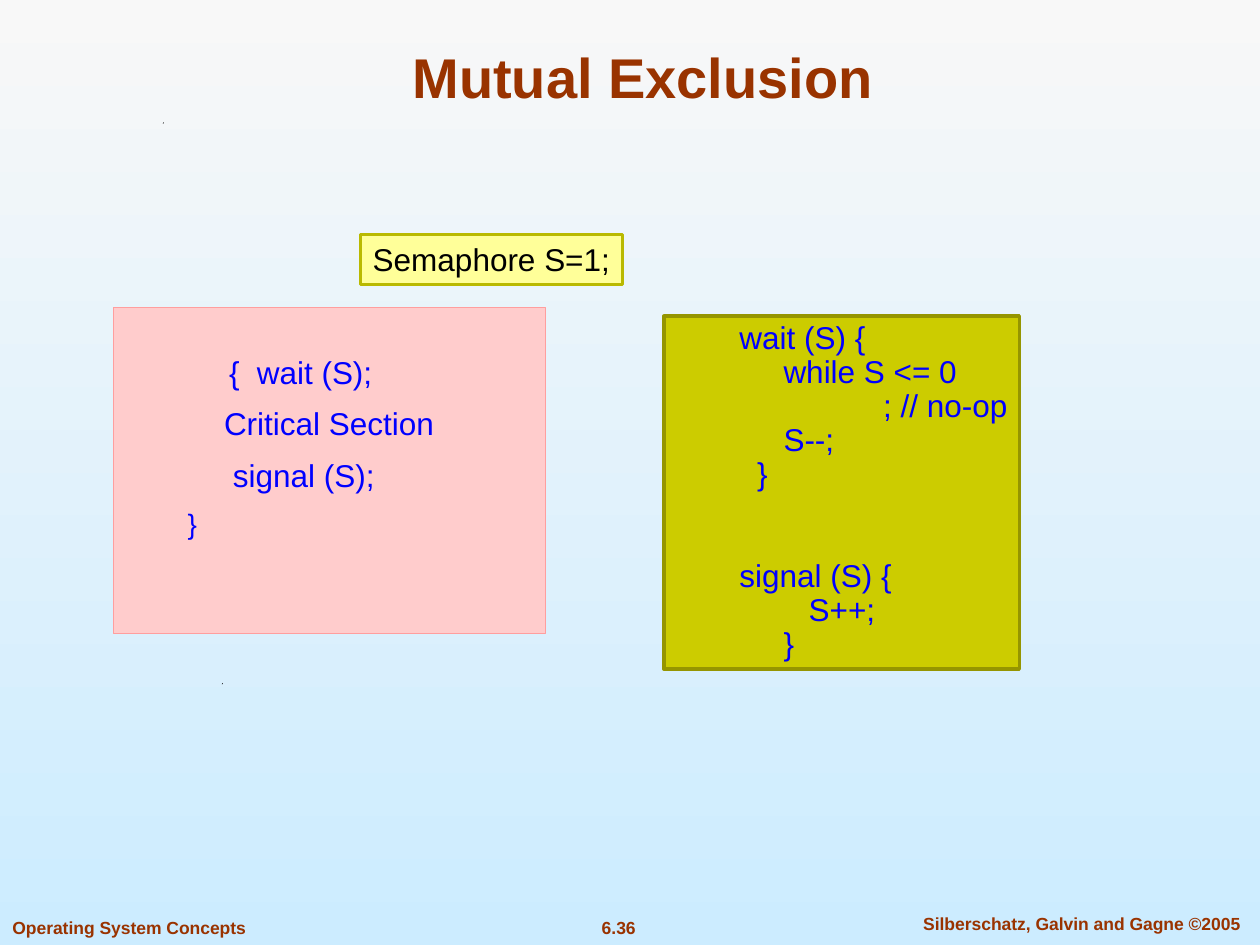
from dataclasses import dataclass

from pptx import Presentation
from pptx import util as u
from pptx.dml.color import RGBColor
from pptx.enum import shapes, text

FONT = "Arial"
BROWN = "993300"
BLUE = "0000FF"
BLACK = "000000"


@dataclass
class Line:
    wording: str
    margin: float = 0
    hanging: float = 0
    before: float = 0
    size: float = 18


@dataclass
class Panel:
    left: float
    top: float
    width: float
    height: float
    fill: str
    border: str
    weight: float
    ink: str
    lines: list[Line]
    top_inset: float = 0.05
    right_inset: float = 0.1
    spacing: float = 1.0
    wrap: bool = True


@dataclass
class Footer:
    wording: str
    left: float
    top: float
    width: float
    align: text.PP_ALIGN


def colour(value: str) -> RGBColor:
    return RGBColor.from_string(value)


def style_runs(paragraph, size: float, ink: str, bold: bool = False) -> None:
    for run in paragraph.runs:
        run.font.name = FONT
        run.font.size = u.Pt(size)
        run.font.bold = bold
        run.font.color.rgb = colour(ink)


def draw_panel(slide, panel: Panel) -> None:
    box = slide.shapes.add_shape(
        shapes.MSO_SHAPE.RECTANGLE,
        u.Inches(panel.left), u.Inches(panel.top),
        u.Inches(panel.width), u.Inches(panel.height))
    box.shadow.inherit = False
    box.fill.solid()
    box.fill.fore_color.rgb = colour(panel.fill)
    box.line.color.rgb = colour(panel.border)
    box.line.width = u.Pt(panel.weight)
    frame = box.text_frame
    frame.word_wrap = panel.wrap
    frame.vertical_anchor = text.MSO_ANCHOR.TOP
    frame.margin_top = u.Inches(panel.top_inset)
    frame.margin_right = u.Inches(panel.right_inset)
    frame.text = "\n".join(line.wording for line in panel.lines)
    for paragraph, line in zip(frame.paragraphs, panel.lines):
        paragraph.alignment = text.PP_ALIGN.LEFT
        paragraph.line_spacing = panel.spacing
        paragraph.space_before = u.Pt(line.before)
        properties = paragraph._p.get_or_add_pPr()
        properties.set("marL", str(u.Inches(line.margin)))
        properties.set("indent", str(u.Inches(-line.hanging)))
        style_runs(paragraph, line.size, panel.ink)


def draw_footer(slide, footer: Footer) -> None:
    box = slide.shapes.add_textbox(
        u.Inches(footer.left), u.Inches(footer.top),
        u.Inches(footer.width), u.Inches(0.27))
    frame = box.text_frame
    frame.word_wrap = True
    frame.text = footer.wording
    frame.paragraphs[0].alignment = footer.align
    style_runs(frame.paragraphs[0], 10, BROWN, bold=True)


def draw_speck(slide, left: float, top: float) -> None:
    size = u.Inches(0.01)
    x, y = u.Inches(left), u.Inches(top)
    builder = slide.shapes.build_freeform(x, y + size)
    builder.add_line_segments([(x + size, y), (x + size, y + size)], close=True)
    speck = builder.convert_to_shape()
    speck.shadow.inherit = False
    speck.fill.solid()
    speck.fill.fore_color.rgb = colour(BLACK)
    speck.line.fill.background()


def paint_background(slide) -> None:
    fill = slide.background.fill
    fill.gradient()
    fill.gradient_angle = 270
    for stop, shade, position in zip(fill.gradient_stops, ("F8F8F8", "CCECFF"), (0, 1)):
        stop.color.rgb = colour(shade)
        stop.position = position


def place_title(slide, wording: str) -> None:
    title = slide.shapes.title
    title.left, title.top = u.Inches(0.75), u.Inches(0.25)
    title.width, title.height = u.Inches(8.83), u.Inches(0.67)
    frame = title.text_frame
    frame.text = wording
    frame.vertical_anchor = text.MSO_ANCHOR.BOTTOM
    frame.paragraphs[0].alignment = text.PP_ALIGN.CENTER
    style_runs(frame.paragraphs[0], 32, BROWN, bold=True)


CRITICAL_SECTION = Panel(
    0.9, 2.44, 3.43, 2.59, "FFCCCC", "FF9E9E", 0.75, BLUE,
    [Line("{\twait (S);", 1.04, hanging=0.22),
     Line("Critical Section", 0.78, before=7.9),
     Line("signal (S);", 0.85, before=7.9),
     Line("}", 0.49, before=7, size=16)],
    top_inset=0.36)

SEMAPHORE = Panel(
    2.86, 1.86, 2.08, 0.4, "FFFF99", "B9B900", 2, BLACK,
    [Line("Semaphore S=1;")], wrap=False)

OPERATIONS = Panel(
    5.27, 2.51, 2.82, 2.8, "CCCC00", "959500", 2, BLUE,
    [Line("wait (S) {", 0.5),
     Line("while S <= 0", 0.85),
     Line("; // no-op", 1.64),
     Line("S--;", 0.85),
     Line("}", 0.64),
     Line("signal (S) {", 0.5, before=38.9),
     Line("S++;", 1.05),
     Line("}", 0.85)],
    right_inset=0.02, spacing=0.9)

FOOTERS = [
    Footer("6.36", 4.42, 7.23, 0.98, text.PP_ALIGN.CENTER),
    Footer("Silberschatz, Galvin and Gagne ©2005", 7.1, 7.2, 2.97, text.PP_ALIGN.CENTER),
    Footer("Operating System Concepts", 0, 7.23, 2.1, text.PP_ALIGN.LEFT),
]


def main() -> None:
    deck = Presentation()
    deck.slide_width, deck.slide_height = u.Inches(10), u.Inches(7.5)
    slide = deck.slides.add_slide(deck.slide_layouts[5])
    paint_background(slide)
    place_title(slide, "Mutual Exclusion ")
    for footer in FOOTERS:
        draw_footer(slide, footer)
    for left, top in ((1.76, 5.42), (1.29, 0.97)):
        draw_speck(slide, left, top)
    for panel in (CRITICAL_SECTION, SEMAPHORE, OPERATIONS):
        draw_panel(slide, panel)
    deck.save("out.pptx")


if __name__ == "__main__":
    main()
